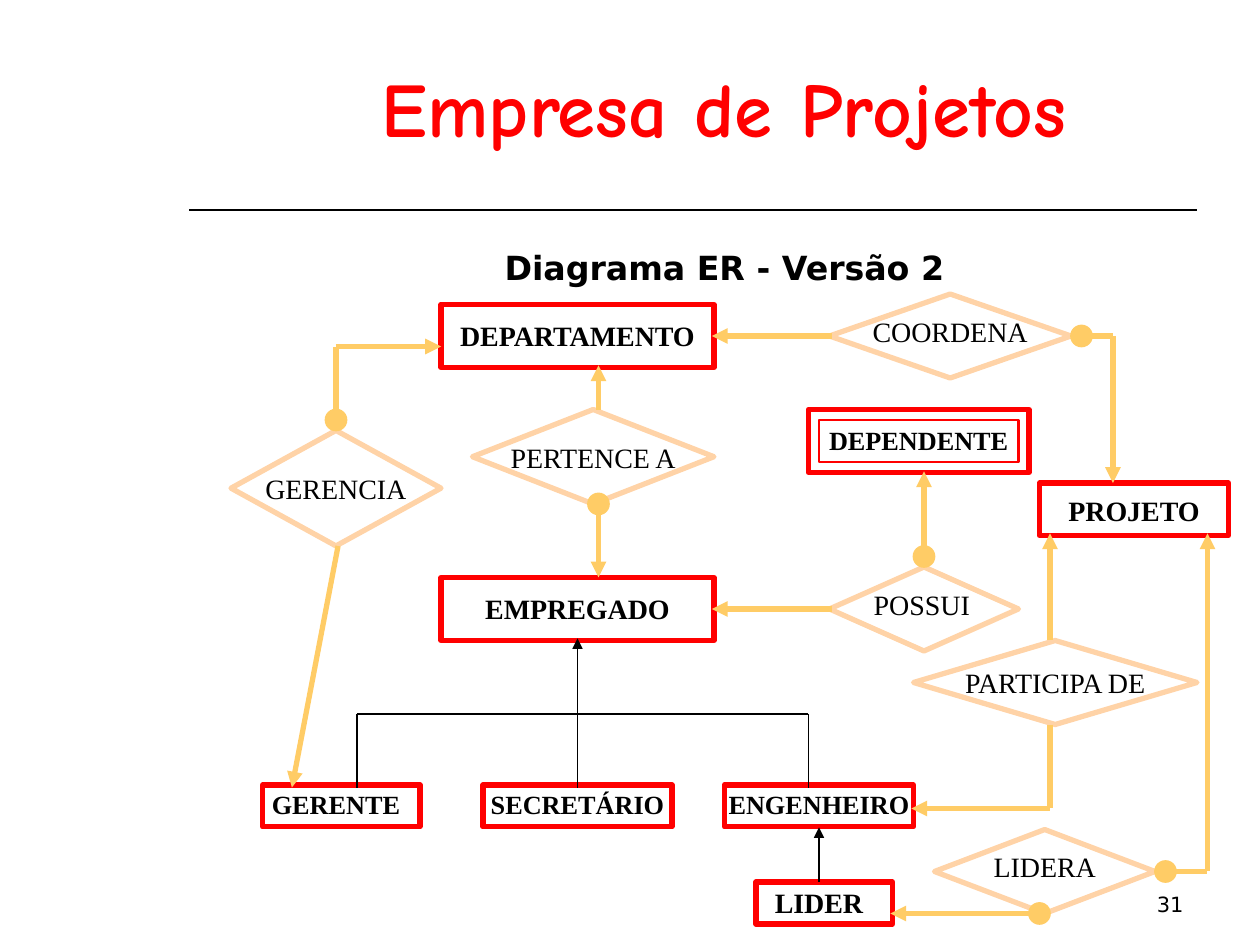
from dataclasses import dataclass
from itertools import pairwise
from typing import Any

import pptx
import pptx.dml.color
import pptx.enum.shapes
import pptx.enum.text
import pptx.oxml
import pptx.oxml.ns
import pptx.util

Align = pptx.enum.text.PP_ALIGN
Anchor = pptx.enum.text.MSO_ANCHOR
Preset = pptx.enum.shapes.MSO_SHAPE


@dataclass(frozen=True)
class Theme:
    black: str = "000000"
    entity: str = "FF0000"
    relation: str = "FFD3A7"
    link: str = "FFCC66"
    title_font: str = "Comic Neue"
    plain_font: str = "DejaVu Sans"
    label_font: str = "Times New Roman"
    title_size: float = 44
    subtitle_size: float = 19
    label_size: float = 16
    small_label_size: float = 15
    number_size: float = 12
    thick: float = 3
    medium: float = 1.5
    thin: float = 1


THEME = Theme()
GRID_CM = 2.54 / 12  # everything sits on a grid of twelve steps to the inch
LABEL_HEIGHT = 4.3
DOT = 2

Bounds = tuple[float, float, float, float]  # left, top, width, height
Point = tuple[float, float]


@dataclass(frozen=True)
class Node:
    text: str
    bounds: Bounds
    label: Point  # left and top of the label
    label_width: float
    size: float = THEME.label_size


@dataclass(frozen=True)
class Link:
    points: tuple[Point, ...]
    color: str = THEME.link
    weight: float = THEME.thick
    arrow: bool = True


def grid(steps: float) -> pptx.util.Length:
    return pptx.util.Cm(steps * GRID_CM)


def rgb(color: str) -> pptx.dml.color.RGBColor:
    return pptx.dml.color.RGBColor.from_string(color)


def add_text(page: Any, text: str, bounds: Bounds, *, font: str, size: float,
             color: str = THEME.black, bold: bool = False, align: Any = Align.CENTER,
             anchor: Any = Anchor.TOP, spacing: float = 0.95) -> None:
    box = page.shapes.add_textbox(*map(grid, bounds))
    frame = box.text_frame
    frame.word_wrap = True
    frame.vertical_anchor = anchor
    para = frame.paragraphs[0]
    para.alignment = align
    para.line_spacing = spacing
    span = para.add_run()
    span.text = text
    span.font.name = font
    span.font.size = pptx.util.Pt(size)
    span.font.bold = bold
    span.font.color.rgb = rgb(color)


def add_outline(page: Any, preset: Any, bounds: Bounds, color: str,
                weight: float, filled: bool = False) -> None:
    shape = page.shapes.add_shape(preset, *map(grid, bounds))
    shape.shadow.inherit = False
    if filled:
        shape.fill.solid()
        shape.fill.fore_color.rgb = rgb(color)
    else:
        shape.fill.background()
    shape.line.color.rgb = rgb(color)
    shape.line.width = pptx.util.Pt(weight)


def add_node(page: Any, node: Node, preset: Any, color: str, bold: bool) -> None:
    add_outline(page, preset, node.bounds, color, THEME.thick)
    add_text(page, node.text, (*node.label, node.label_width, LABEL_HEIGHT),
             font=THEME.label_font, size=node.size, bold=bold)


def add_link(page: Any, link: Link) -> None:
    for start, end in pairwise(link.points):
        line = page.shapes.add_connector(pptx.enum.shapes.MSO_CONNECTOR.STRAIGHT,
                                         *map(grid, (*start, *end)))
        line.line.color.rgb = rgb(link.color)
        line.line.width = pptx.util.Pt(link.weight)
        if link.arrow and end == link.points[-1]:
            tail = pptx.oxml.parse_xml(
                f'<a:tailEnd {pptx.oxml.ns.nsdecls("a")} type="triangle"/>')
            line.line._get_or_add_ln().append(tail)
        line._element.spPr.append(
            pptx.oxml.parse_xml(f'<a:effectLst {pptx.oxml.ns.nsdecls("a")}/>'))


STAFF_TOP = 74.75
SMALL = THEME.small_label_size
ENTITIES = [
    Node("DEPARTAMENTO", (42, 29, 26, 6), (41, 30), 28),
    Node("PROJETO", (99, 46, 18, 5), (97, 46.6), 22),
    Node("EMPREGADO", (42, 55, 26, 6), (41, 56), 28),
    Node("DEPENDENTE", (77, 39, 21, 6), (77, 40), 21, SMALL),
    Node("GERENTE", (25, STAFF_TOP, 15, 4), (24, STAFF_TOP), 16, SMALL),
    Node("SECRETÁRIO", (46, STAFF_TOP, 18, 4), (45, STAFF_TOP), 20, SMALL),
    Node("ENGENHEIRO", (69, STAFF_TOP, 18, 4), (68, STAFF_TOP), 20, SMALL),
    Node("LIDER", (72, 84, 13, 4), (71, 84), 14),
]
WEAK_ENTITY_FRAME = (78, 40, 19, 4)

RELATIONS = [
    Node("GERENCIA", (22, 41, 20, 11), (23, 44.6), 18),
    Node("PERTENCE A", (45, 39, 23, 9), (45, 41.6), 23),
    Node("COORDENA", (79, 28, 23, 8), (79, 29.6), 23),
    Node("PARTICIPA DE", (87, 61, 27, 8), (89, 63), 23),
    Node("LIDERA", (89, 79, 21, 8), (88, 80.6), 23),
    Node("POSSUI", (79, 54, 18, 8), (76.3, 55.6), 23),
]

RELATION_LINKS = [
    Link(((32, 41), (32, 33), (42, 33))),
    Link(((32.2, 52), (27.8, 75))),
    Link(((57, 39), (57, 34.8))),
    Link(((57, 47), (57, 55))),
    Link(((79.2, 32), (67.8, 32))),
    Link(((102, 32), (106, 32), (106, 46))),
    Link(((100, 61), (100, 50.8))),
    Link(((100, 69), (100, 77), (86.8, 77))),
    Link(((88, 54), (88, 44.9))),
    Link(((79.2, 58), (67.8, 58))),
    Link(((111, 83), (115, 83), (115, 50.8))),
    Link(((100, 87), (84.8, 87))),
]
DOT_CORNERS = [(31, 39), (56, 47), (102, 31), (110, 82), (87, 52), (98, 86)]

# Specialisation tree: one bar, a branch for each kind of employee
BAR_TOP = 68
BRANCHES = (34, 55, 77)
PLAIN_LINES = [((18, 20), (114, 20)),
               ((BRANCHES[0], BAR_TOP), (BRANCHES[-1], BAR_TOP)),
               *(((left, BAR_TOP), (left, 75)) for left in BRANCHES)]
PLAIN_ARROWS = [((55, BAR_TOP), (55, 60.8)), ((78, 84), (78, 78.8))]


def main() -> None:
    deck = pptx.Presentation()
    deck.slide_width, deck.slide_height = pptx.util.Cm(25.4), pptx.util.Cm(19.05)
    page = deck.slides.add_slide(deck.slide_layouts[6])

    # Headings
    add_text(page, "Empresa de Projetos", (20, 6, 98, 9.4), font=THEME.title_font,
             size=THEME.title_size, color=THEME.entity, bold=True, spacing=0.93)
    add_text(page, "Diagrama ER - Versão 2", (18, 23, 102, 5), font=THEME.plain_font,
             size=THEME.subtitle_size, bold=True, spacing=1.0)

    # Entities and relations
    for entity in ENTITIES:
        add_node(page, entity, Preset.RECTANGLE, THEME.entity, bold=True)
    add_outline(page, Preset.RECTANGLE, WEAK_ENTITY_FRAME, THEME.entity, THEME.medium)
    for relation in RELATIONS:
        add_node(page, relation, Preset.DIAMOND, THEME.relation, bold=False)

    # Links and their dots
    for link in RELATION_LINKS:
        add_link(page, link)
    for corner in DOT_CORNERS:
        add_outline(page, Preset.OVAL, (*corner, DOT, DOT), THEME.link, THEME.thin, filled=True)

    # Heading rule and specialisation tree
    for lines, arrow in ((PLAIN_LINES, False), (PLAIN_ARROWS, True)):
        for points in lines:
            add_link(page, Link(points, THEME.black, THEME.thin, arrow))

    # Page number
    add_text(page, "31", (86, 82, 27.9, 5.9), font=THEME.plain_font, size=THEME.number_size,
             align=Align.RIGHT, anchor=Anchor.BOTTOM, spacing=1.0)

    deck.save("out.pptx")


if __name__ == "__main__":
    main()
